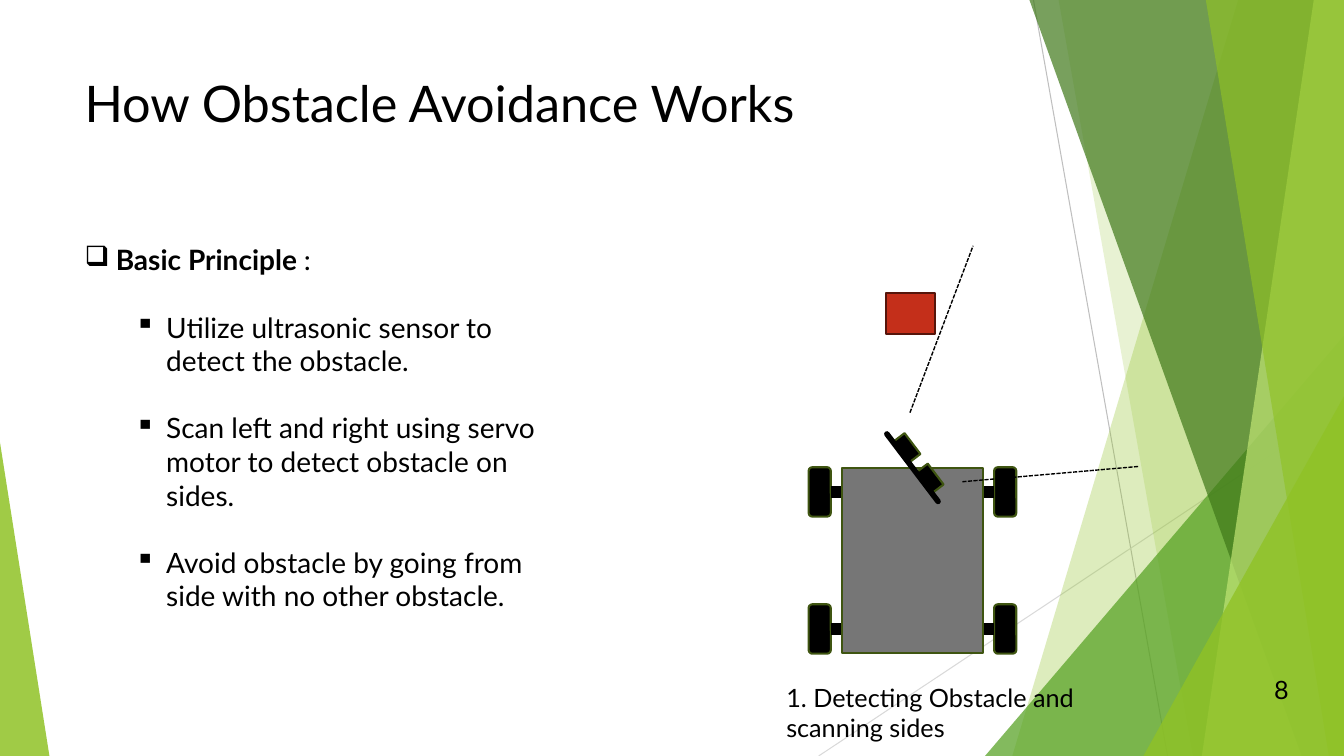
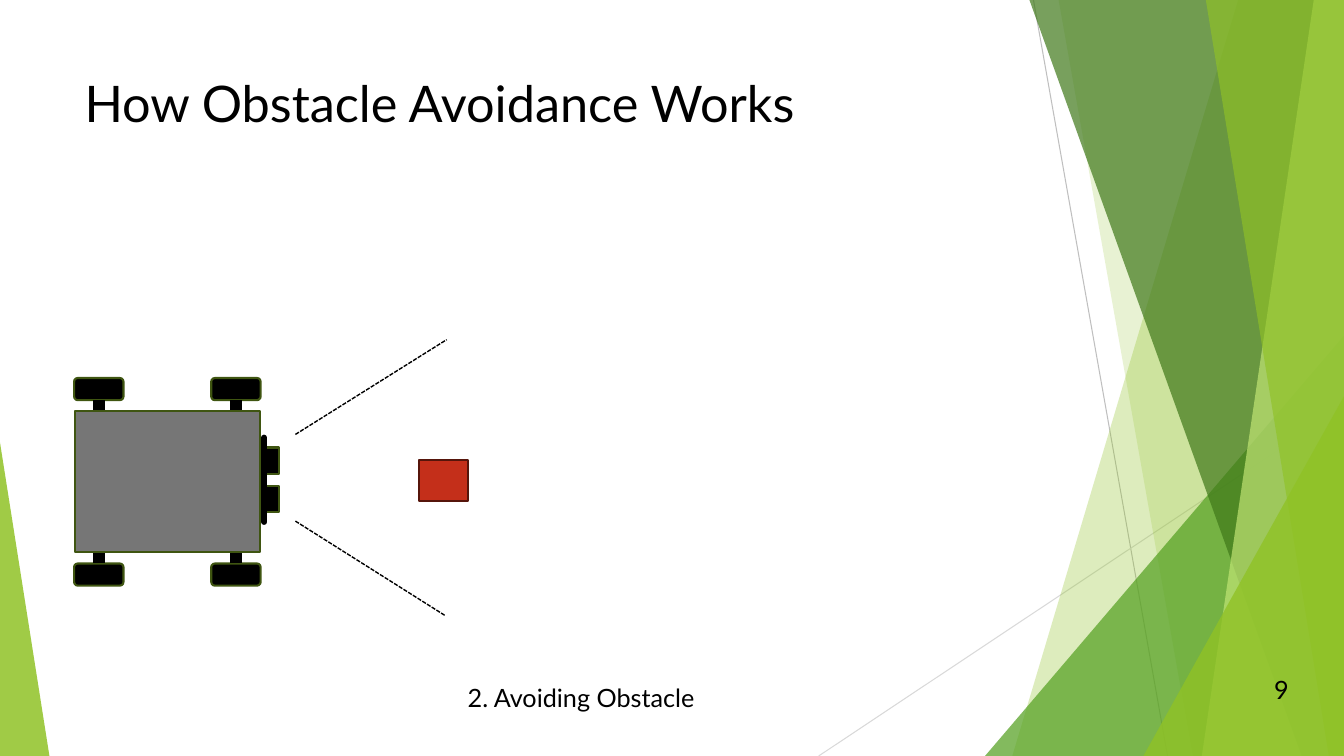
import math
from dataclasses import dataclass
from typing import NamedTuple, Optional

import pptx
import pptx.util
import pptx.dml.color
import pptx.enum.dml
import pptx.enum.shapes
import pptx.enum.text
import pptx.oxml
import pptx.oxml.ns
import pptx.shapes.autoshape
import pptx.slide
import pptx.text.text

Inches = pptx.util.Inches
Pt = pptx.util.Pt
RGBColor = pptx.dml.color.RGBColor
SHAPE = pptx.enum.shapes.MSO_SHAPE
ALIGN = pptx.enum.text.PP_ALIGN
qn = pptx.oxml.ns.qn

SLIDE_W, SLIDE_H = 13.33, 7.5
FONT = "Lato"

BLACK = RGBColor(0x00, 0x00, 0x00)
LIME = RGBColor(0x90, 0xC2, 0x26)
PALE_LIME = RGBColor(0xC0, 0xE4, 0x74)
GREEN = RGBColor(0x54, 0xA0, 0x21)
DARK_GREEN = RGBColor(0x3F, 0x78, 0x19)
OUTLINE_GREEN = RGBColor(0x3F, 0x55, 0x11)
CHASSIS_GREY = RGBColor(0x76, 0x76, 0x76)
OBSTACLE_RED = RGBColor(0xC4, 0x2F, 0x1A)
OBSTACLE_EDGE = RGBColor(0x56, 0x15, 0x0B)
RAY_DARK = RGBColor(0xBF, 0xBF, 0xBF)
RAY_LIGHT = RGBColor(0xD9, 0xD9, 0xD9)


class Point(NamedTuple):
    x: float
    y: float


class Box(NamedTuple):
    left: float
    top: float
    width: float
    height: float


class Band(NamedTuple):
    """Strip from a slanted left edge to the right side of the slide."""
    top_x: float
    bottom_x: float
    color: RGBColor
    opacity: int


class Wedge(NamedTuple):
    """Triangle standing on the bottom of the slide."""
    left: float
    top: float
    width: float
    apex: float
    color: RGBColor
    opacity: int


class Ray(NamedTuple):
    start: Point
    end: Point
    color: RGBColor


@dataclass(frozen=True)
class Pose:
    """Place and clockwise heading; zero degrees faces up."""
    center: Point
    heading: float

    def locate(self, x: float, y: float) -> Point:
        turn = math.radians(self.heading)
        return Point(self.center.x + x * math.cos(turn) - y * math.sin(turn),
                     self.center.y + x * math.sin(turn) + y * math.cos(turn))


@dataclass(frozen=True)
class Scene:
    number: int
    caption: str
    caption_box: Box
    obstacle: Point
    chassis: Pose
    sensor: Pose
    heading: str = ""
    points: tuple[str, ...] = ()


RAYS = (
    Ray(Point(10.25, 0), Point(11.58, SLIDE_H), RAY_DARK),
    Ray(Point(SLIDE_W, 4.03), Point(8.12, SLIDE_H), RAY_LIGHT),
)
BACKDROP = (
    Band(12.28, 10.04, LIME, 30),
    Band(10.5, 11.83, LIME, 20),
    Wedge(9.77, 3.33, 3.56, 1, GREEN, 72),
    Band(10.21, 12.91, DARK_GREEN, 70),
    Band(13.03, 11.92, PALE_LIME, 70),
    Band(11.96, 13.18, LIME, 65),
    Wedge(11.34, 3.93, 1.99, 1, LIME, 80),
    Wedge(0, 4.39, 0.49, 0, LIME, 85),
)
# Beam ends relative to the sensor when it faces up
BEAMS = ((Point(0.41, -0.31), Point(1.35, -1.8)),
         (Point(-0.45, -0.31), Point(-1.39, -1.81)))

TITLE = "How Obstacle Avoidance Works"
SCENES = (
    Scene(8, "1. Detecting Obstacle and scanning sides",
          Box(7.7, 6.72, 3.05, 0.71), Point(9.03, 3.11),
          Pose(Point(9.05, 5.56), 0), Pose(Point(9.05, 4.64), 52.8),
          "Basic Principle ",
          ("Utilize ultrasonic sensor to detect the obstacle.",
           "Scan left and right using servo motor to detect obstacle on sides.",
           "Avoid obstacle by going from side with no other obstacle.")),
    Scene(9, "2. Avoiding Obstacle",
          Box(4.54, 6.72, 3.33, 0.4), Point(4.4, 4.77),
          Pose(Point(1.66, 4.78), 90), Pose(Point(2.62, 4.76), 90)),
)


# Text
def write(paragraph: pptx.text.text._Paragraph, text: str, *, size: float = 18,
          bold: bool = False, align: Optional[ALIGN] = None) -> None:
    run = paragraph.add_run()
    run.text = text
    run.font.name = FONT
    run.font.size = Pt(size)
    run.font.bold = bold
    run.font.color.rgb = BLACK
    if align is not None:
        paragraph.alignment = align


def add_frame(slide: pptx.slide.Slide, box: Box) -> pptx.text.text.TextFrame:
    frame = slide.shapes.add_textbox(*map(Inches, box)).text_frame
    frame.word_wrap = True
    return frame


def set_bullet(paragraph: pptx.text.text._Paragraph, mark: str, margin: float) -> None:
    props = paragraph._p.get_or_add_pPr()
    props.set("marL", str(Inches(margin)))
    props.set("indent", str(-Inches(0.31)))
    bullet = pptx.oxml.parse_xml(f'<a:buChar {pptx.oxml.ns.nsdecls("a")} char="{mark}"/>')
    props.append(bullet)


# Shapes and lines
def paint(shape: pptx.shapes.autoshape.Shape, color: RGBColor, *,
          opacity: int = 100, edge: Optional[RGBColor] = None) -> None:
    shape.shadow.inherit = False
    shape.fill.solid()
    shape.fill.fore_color.rgb = color
    if opacity < 100:
        tint = shape._element.spPr.find(f'{qn("a:solidFill")}/{qn("a:srgbClr")}')
        tint.append(pptx.oxml.parse_xml(
            f'<a:alpha {pptx.oxml.ns.nsdecls("a")} val="{opacity * 1000}"/>'))
    if edge is None:
        shape.line.fill.background()
    else:
        shape.line.color.rgb = edge
        shape.line.width = Pt(1.5)


def add_block(slide: pptx.slide.Slide, kind: SHAPE, center: Point, width: float,
              height: float, color: RGBColor, edge: RGBColor = OUTLINE_GREEN,
              heading: float = 0) -> None:
    block = slide.shapes.add_shape(
        kind, Inches(center.x - width / 2), Inches(center.y - height / 2),
        Inches(width), Inches(height))
    block.rotation = heading
    paint(block, color, edge=edge)


def add_line(slide: pptx.slide.Slide, start: Point, end: Point, color: RGBColor,
             width: float, *, dashed: bool = False, rounded: bool = False) -> None:
    line = slide.shapes.add_connector(pptx.enum.shapes.MSO_CONNECTOR.STRAIGHT,
                                      *map(Inches, (*start, *end)))
    line.line.color.rgb = color
    line.line.width = Pt(width)
    if dashed:
        line.line.dash_style = pptx.enum.dml.MSO_LINE.SQUARE_DOT
    props = line._element.spPr
    if rounded:
        props.find(qn("a:ln")).set("cap", "rnd")
    props.append(pptx.oxml.parse_xml(f'<a:effectLst {pptx.oxml.ns.nsdecls("a")}/>'))


# Shared slide parts
def add_backdrop(slide: pptx.slide.Slide) -> None:
    for ray in RAYS:
        add_line(slide, ray.start, ray.end, ray.color, 0.75)
    for part in BACKDROP:
        if isinstance(part, Band):
            outline = slide.shapes.build_freeform(Inches(part.top_x), 0)
            corners = ((SLIDE_W, 0), (SLIDE_W, SLIDE_H), (part.bottom_x, SLIDE_H))
            outline.add_line_segments([(Inches(x), Inches(y)) for x, y in corners])
            facet = outline.convert_to_shape()
        else:
            facet = slide.shapes.add_shape(
                SHAPE.ISOSCELES_TRIANGLE, Inches(part.left), Inches(part.top),
                Inches(part.width), Inches(SLIDE_H - part.top))
            facet.adjustments[0] = part.apex
        paint(facet, part.color, opacity=part.opacity)


# Robot seen from above
def add_robot(slide: pptx.slide.Slide, chassis: Pose, sensor: Pose) -> None:
    for side in (1, -1):
        for axle_y in (-0.68, 0.68):
            add_block(slide, SHAPE.ROUNDED_RECTANGLE, chassis.locate(side * 0.92, axle_y),
                      0.22, 0.49, BLACK, heading=chassis.heading)
            add_line(slide, chassis.locate(side * 0.68, axle_y),
                     chassis.locate(side * 0.81, axle_y), BLACK, 8.75)
    add_block(slide, SHAPE.RECTANGLE, chassis.center, 1.4, 1.84, CHASSIS_GREY,
              heading=chassis.heading)

    for eye_x in (-0.19, 0.19):
        add_block(slide, SHAPE.RECTANGLE, sensor.locate(eye_x, -0.07), 0.26, 0.15,
                  BLACK, heading=sensor.heading)
    add_line(slide, sensor.locate(0.42, 0), sensor.locate(-0.42, 0), BLACK, 4, rounded=True)
    for near, far in BEAMS:
        add_line(slide, sensor.locate(*near), sensor.locate(*far), BLACK, 1, dashed=True)


def add_principles(slide: pptx.slide.Slide, heading: str, points: tuple[str, ...]) -> None:
    frame = add_frame(slide, Box(0.74, 2.36, 4.83, 4.24))
    lead = frame.paragraphs[0]
    write(lead, heading, size=20, bold=True)
    write(lead, ":", size=20)
    set_bullet(lead, "❑", 0.31)
    for point in points:
        item = frame.add_paragraph()
        item.space_before = Pt(24)
        write(item, point, size=20)
        set_bullet(item, "▪", 0.81)


def add_scene(deck: pptx.presentation.Presentation, scene: Scene) -> None:
    slide = deck.slides.add_slide(deck.slide_layouts[6])
    add_backdrop(slide)
    write(add_frame(slide, Box(0.74, 0.67, 9.4, 1.44)).paragraphs[0], TITLE, size=36)
    if scene.points:
        add_principles(slide, scene.heading, scene.points)
    write(add_frame(slide, scene.caption_box).paragraphs[0], scene.caption)
    add_block(slide, SHAPE.RECTANGLE, scene.obstacle, 0.48, 0.41, OBSTACLE_RED, OBSTACLE_EDGE)
    add_robot(slide, scene.chassis, scene.sensor)
    write(add_frame(slide, Box(12.46, 6.64, 0.5, 0.4)).paragraphs[0],
          str(scene.number), align=ALIGN.CENTER)


def main() -> None:
    deck = pptx.Presentation()
    deck.slide_width, deck.slide_height = Inches(SLIDE_W), Inches(SLIDE_H)
    for scene in SCENES:
        add_scene(deck, scene)
    deck.save("out.pptx")


if __name__ == "__main__":
    main()
